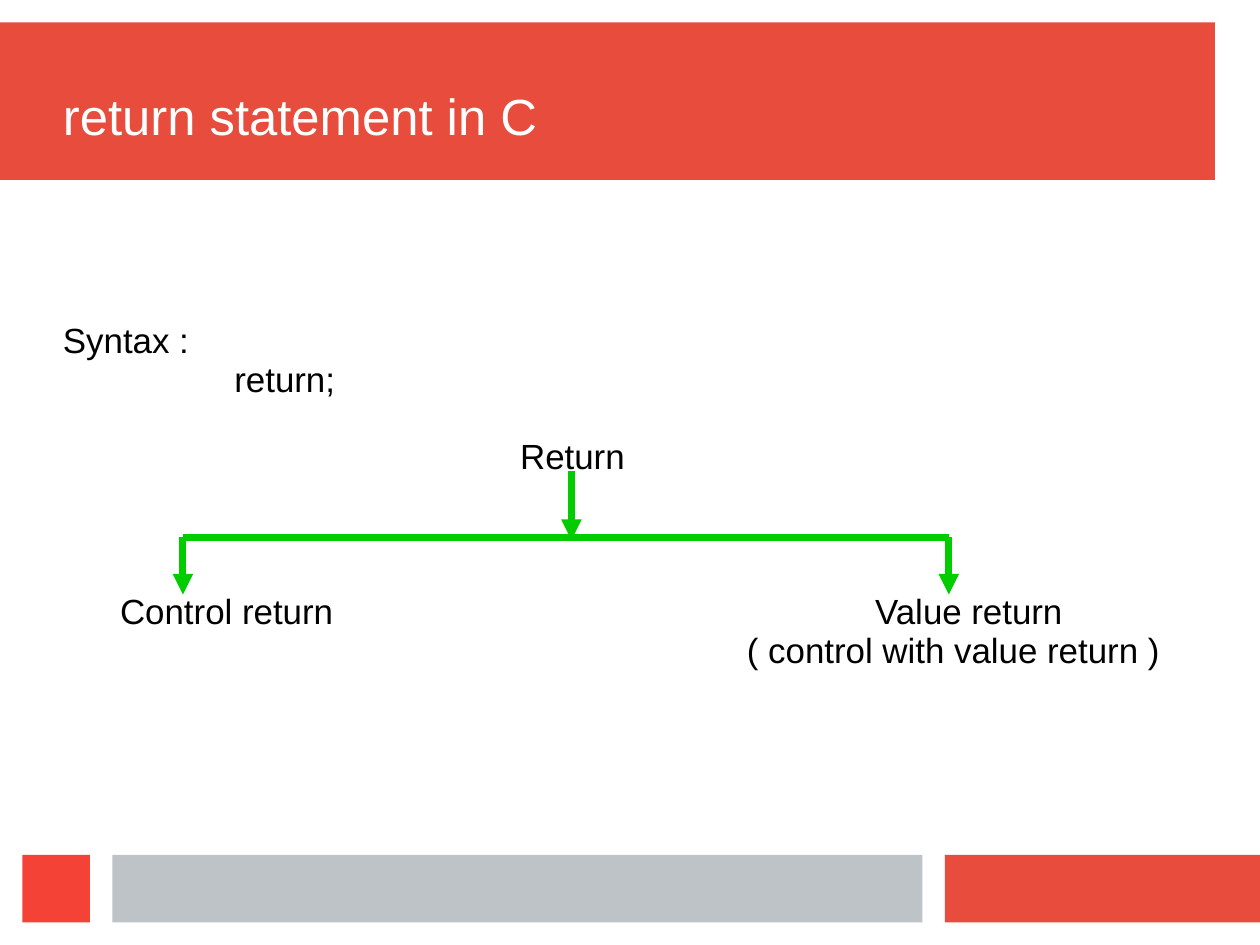
from pptx import Presentation
from pptx.dml.color import RGBColor
from pptx.enum.shapes import MSO_CONNECTOR, MSO_SHAPE
from pptx.enum.text import MSO_ANCHOR, PP_ALIGN
from pptx.oxml.ns import qn
from pptx.util import Emu, Inches, Pt
from lxml import etree

RECT = MSO_SHAPE.RECTANGLE
LINE = MSO_CONNECTOR.STRAIGHT
LEFT = PP_ALIGN.LEFT
TOP, MID = MSO_ANCHOR.TOP, MSO_ANCHOR.MIDDLE

RED = RGBColor(0xE7, 0x4C, 0x3C)
BRIGHT = RGBColor(0xF4, 0x43, 0x36)
GREY = RGBColor(0xBD, 0xC3, 0xC7)
GREEN = RGBColor(0x00, 0xCC, 0x00)
WHITE = RGBColor(0xFF, 0xFF, 0xFF)
BLACK = RGBColor(0x00, 0x00, 0x00)

WIDE, HIGH = Emu(10080625), Emu(7559675)  # 28 by 21 cm
COLS, ROWS = 56, 42  # square cells
EDGE = 2.8           # left margin, in columns
TAB = 2.54           # indent step, in columns
FIRST = 14.32        # first text line, in rows
STEP = 1.72          # height of a text line, in rows


def across(cols):
    return Emu(round(cols * WIDE / COLS))


def down(rows):
    return Emu(round(rows * HIGH / ROWS))


def write(frame, lines, size=22, color=BLACK, anchor=TOP, inset=0):
    """Fill a frame with (text, indent in columns) lines."""
    frame.word_wrap = True
    frame.vertical_anchor = anchor
    frame.margin_left = frame.margin_right = frame.margin_bottom = 0
    frame.margin_top = Inches(inset)
    for i, (text, indent) in enumerate(lines):
        para = frame.paragraphs[0] if i == 0 else frame.add_paragraph()
        para.alignment = LEFT
        para.line_spacing = 0.93
        para.space_before = para.space_after = Pt(0)
        props = para._p.get_or_add_pPr()
        props.set("marL", str(across(indent)))
        props.set("indent", "0")
        run = para.add_run()
        run.text = text
        run.font.name = "Arial"
        run.font.size = Pt(size)
        run.font.color.rgb = color


class Board:
    def __init__(self, slide):
        self.slide = slide
        self.shapes = slide.shapes
        self.ink = GREEN
        self.weight = Pt(4.31)

    def bar(self, x, y, w, h, color):
        bar = self.shapes.add_shape(RECT, across(x), down(y), across(w), down(h))
        bar.shadow.inherit = False
        bar.fill.solid()
        bar.fill.fore_color.rgb = color
        bar.line.fill.background()

    def title(self, text, x, y, w, h):
        head = self.shapes.title
        head.left, head.top = across(x), down(y)
        head.width, head.height = across(w), down(h)
        write(head.text_frame, [(text, 0)], size=32, color=WHITE,
              anchor=MID, inset=0.03)
        # Bring the title in front of the bars
        head.element.getparent().append(head.element)

    def text(self, lines, x, row, w):
        box = self.shapes.add_textbox(across(x), down(FIRST + row * STEP),
                                      across(w), down(len(lines) * STEP))
        write(box.text_frame, lines)

    def line(self, x1, y1, x2, y2, arrow=False):
        link = self.shapes.add_connector(LINE, across(x1), down(y1),
                                         across(x2), down(y2))
        link.line.color.rgb = self.ink
        link.line.width = self.weight
        if arrow:
            tail = etree.SubElement(link.line._get_or_add_ln(), qn("a:tailEnd"))
            tail.set("type", "triangle")
        etree.SubElement(link.element.spPr, qn("a:effectLst"))


def main():
    deck = Presentation()
    deck.slide_width, deck.slide_height = WIDE, HIGH
    board = Board(deck.slides.add_slide(deck.slide_layouts[5]))

    # Header and footer bars
    board.bar(0, 1, 54, 7, RED)
    for x, w, color in ((42, 14, RED), (5, 36, GREY), (1, 3, BRIGHT)):
        board.bar(x, 38, w, 3, color)
    board.title("return statement in C", EDGE, 1.68, 50.4, 7)

    # Syntax and tree labels
    board.text([("Syntax :", 0), ("return;", 3 * TAB)], EDGE, 0, 18)
    board.text([("Return", 0)], EDGE + 8 * TAB, 3, 8)
    board.text([("Control return", 0)], EDGE + TAB, 7, 14)
    board.text([("Value return", 5.7), ("( control with value return )", 0)],
               33.2, 7, 20)

    # Tree: stem, crossbar and two branches
    left, right, level = 8.13, 42.17, 23.88
    board.line(25.4, 20.93, 25.4, 24, arrow=True)
    board.line(left, level, right, level)
    for x in (left, right):
        board.line(x, level, x, 26.42, arrow=True)

    deck.save("out.pptx")


if __name__ == "__main__":
    main()
